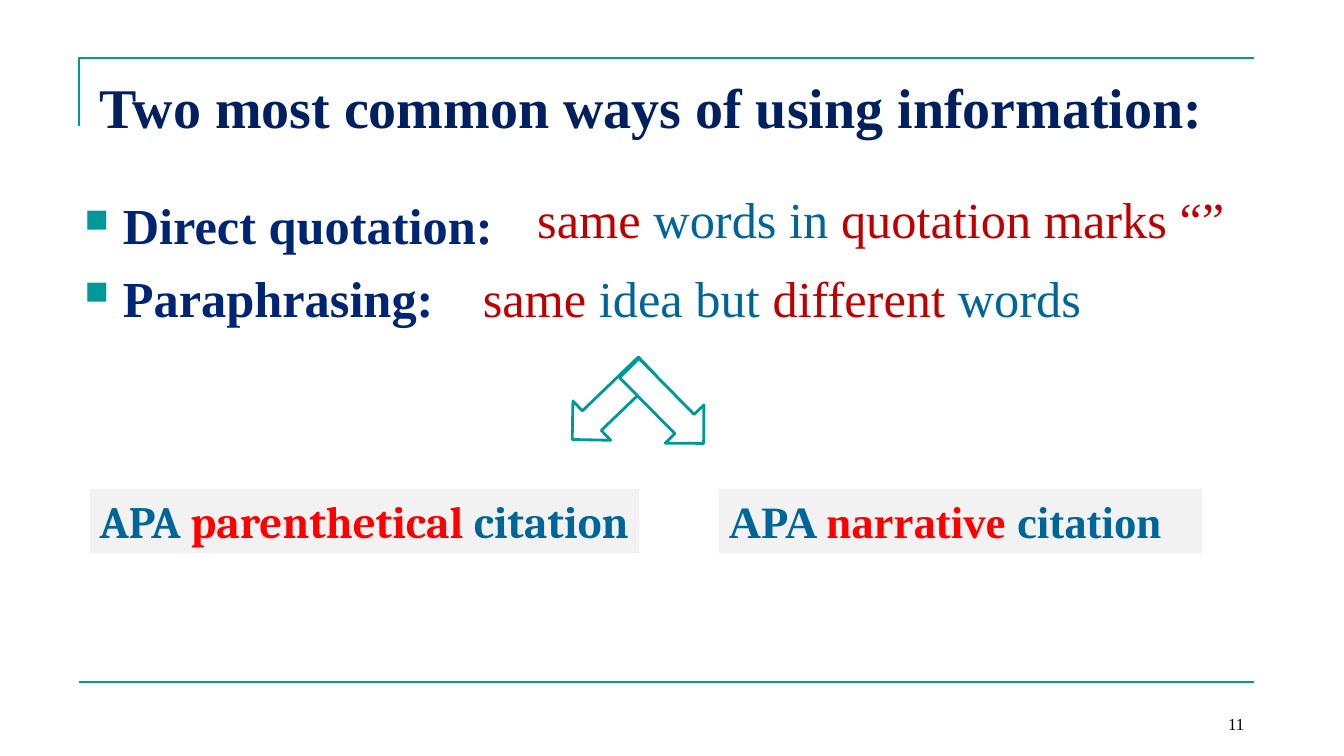
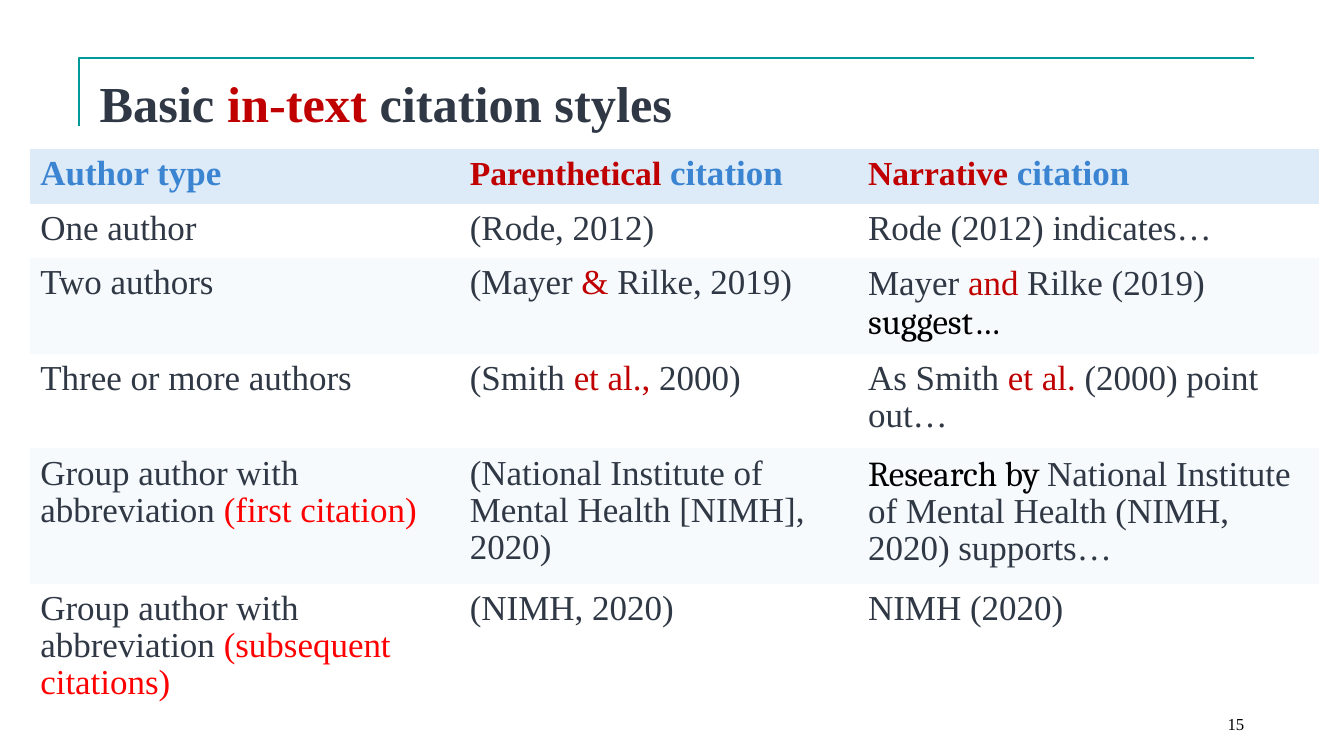
from lxml.etree import SubElement as Sub
from pptx import Presentation
from pptx.dml.color import RGBColor
from pptx.enum.shapes import MSO_CONNECTOR as Link, MSO_SHAPE as Shape
from pptx.enum.text import MSO_ANCHOR as Anchor, PP_ALIGN as Align
from pptx.oxml.ns import qn
from pptx.util import Inches, Pt

TIMES, CAMBRIA = "Times New Roman", "Cambria"
TEAL, NAVY, BLUE, INK = "009999", "002060", "006699", "2F3844"
DARK, RED, SKY = "C00000", "FF0000", "3B84D2"
WHITE, BLACK, GREY = "FFFFFF", "000000", "F2F2F2"
HEAD, BAND = "DDEBF8", "F6FAFD"
PLAIN = "{2D5ABB26-0587-4C30-8999-92F81FD0307C}"

COLS = [4.26, 3.95, 4.57]
ROWS = [0.53, 0.53, 0.95, 0.91, 1.31, 1.31]
CELLS = [
    [[("Author type", SKY)],
     [("Parenthetical", DARK, TIMES, 24), (" citation", SKY)],
     [("Narrative", DARK, TIMES, 24), (" citation", SKY)]],
    [[("One author", INK)],
     [("(Rode, 2012)", INK)],
     [("Rode (2012) indicates…", INK)]],
    [[("Two authors", INK)],
     [("(Mayer ", INK), ("& ", DARK), ("Rilke, 2019)", INK)],
     [("Mayer ", INK), ("and ", DARK), ("Rilke (2019)", INK),
      (" suggest…", BLACK, CAMBRIA)]],
    [[("Three or more authors", INK)],
     [("(Smith ", INK), ("et al., ", DARK), ("2000)", INK)],
     [("As Smith ", INK), ("et al. ", DARK), ("(2000) point out…", INK)]],
    [[("Group author with abbreviation ", INK), ("(first citation)", RED)],
     [("(National Institute of Mental Health [NIMH], 2020)", INK)],
     [("Research by ", BLACK, CAMBRIA),
      ("National Institute of Mental Health (NIMH, 2020) supports…", INK)]],
    [[("Group author with abbreviation ", INK),
      ("(subsequent citations)", RED)],
     [("(NIMH, 2020)", INK)],
     [("NIMH (2020)", INK)]],
]


def rgb(code):
    """Turn a hex string into a colour."""
    return RGBColor.from_string(code)


def paint(item, code):
    """Fill a shape or cell with one colour."""
    item.fill.solid()
    item.fill.fore_color.rgb = rgb(code)


def stroke(item, width):
    """Give a shape or connector a teal line."""
    item.line.color.rgb = rgb(TEAL)
    item.line.width = Pt(width)


def write(para, parts, size, bold=False, face=TIMES):
    """Add runs given as text, colour and optional face and size."""
    for text, code, *rest in parts:
        run = para.add_run()
        run.text = text
        font = run.font
        font.name = rest[0] if rest else face
        font.size = Pt(rest[1] if len(rest) > 1 else size)
        font.bold = bold
        font.color.rgb = rgb(code)


def label(slide, spot, parts, size, bold=False, face=TIMES, wrap=True):
    """Add a text box with one line of runs."""
    box = slide.shapes.add_textbox(*map(Inches, spot))
    box.text_frame.word_wrap = wrap
    write(box.text_frame.paragraphs[0], parts, size, bold, face)
    return box


def frame(slide, title, size):
    """Draw the shared rules and the title."""
    path = slide.shapes.build_freeform(Inches(0.78), Inches(1.25))
    path.add_line_segments(
        [(Inches(0.78), Inches(0.58)), (Inches(12.44), Inches(0.58))],
        close=False)
    edge = path.convert_to_shape()
    edge.shadow.inherit = False
    edge.fill.background()
    stroke(edge, 1.5)
    base = slide.shapes.add_connector(
        Link.STRAIGHT, *map(Inches, (0.78, 6.77, 12.44, 6.77)))
    Sub(base._element.spPr, qn("a:effectLst"))
    stroke(base, 1.5)
    label(slide, (0.89, 0.67, 11.44, 0.97), title, size, True)


def number(slide, text):
    """Put the page number at the lower right."""
    box = label(slide, (9.33, 6.83, 3.11, 0.5), [(text, BLACK)], 12)
    box.text_frame.vertical_anchor = Anchor.BOTTOM
    box.text_frame.paragraphs[0].alignment = Align.RIGHT


def bullets(slide, spot, items):
    """Add a list with square teal bullets."""
    box = slide.shapes.add_textbox(*map(Inches, spot))
    body = box.text_frame
    body.word_wrap = True
    body.text = "\n".join(items)
    for para in body.paragraphs:
        para.space_after = Pt(8.5)
        font = para.runs[0].font
        font.name, font.size, font.bold = TIMES, Pt(36), True
        font.color.rgb = rgb("002673")
        props = para._p.get_or_add_pPr()
        props.set("marL", str(Inches(0.38)))
        props.set("indent", str(-Inches(0.38)))
        Sub(Sub(props, qn("a:buClr")), qn("a:srgbClr"), val=TEAL)
        Sub(props, qn("a:buSzPct"), val="65000")
        Sub(props, qn("a:buChar"), char="■")


def arrow(slide, spot, turn):
    """Add a turned block arrow."""
    item = slide.shapes.add_shape(Shape.DOWN_ARROW, *map(Inches, spot))
    item.shadow.inherit = False
    item.rotation = turn
    paint(item, WHITE)
    stroke(item, 2)


def grid(slide, left, top):
    """Add the table of citation styles."""
    item = slide.shapes.add_table(
        len(ROWS), len(COLS), Inches(left), Inches(top),
        Inches(sum(COLS)), Inches(sum(ROWS)))
    table = item.table
    for style in item._element.iter(qn("a:tableStyleId")):
        style.text = PLAIN
    for col, width in zip(table.columns, COLS):
        col.width = Inches(width)
    for i, (row, high) in enumerate(zip(table.rows, ROWS)):
        row.height = Inches(high)
        shade = HEAD if i == 0 else WHITE if i % 2 else BAND
        for cell, parts in zip(row.cells, CELLS[i]):
            paint(cell, shade)
            cell.margin_top = cell.margin_bottom = Inches(0.07)
            para = cell.text_frame.paragraphs[0]
            para.line_spacing = 0.96
            write(para, parts, 25, i == 0)


def ways(slide):
    """Build the slide on ways of using information."""
    frame(slide, [("Two most common ways of using information:", NAVY)], 40)
    bullets(slide, (0.74, 1.88, 4.5, 1.5),
            ["Direct quotation:", "Paraphrasing:"])
    number(slide, "11")
    label(slide, (5.23, 1.82, 7.07, 0.71),
          [("same", DARK), (" words in ", BLUE),
           ("quotation marks “”", DARK)], 36, wrap=False)
    label(slide, (4.69, 2.6, 6.2, 0.71),
          [("same ", DARK), ("idea but", BLUE), (" different ", DARK),
           ("words", BLUE)], 36, wrap=False)
    arrow(slide, (5.78, 3.48, 0.54, 1.04), 46.1)
    arrow(slide, (6.34, 3.5, 0.54, 1.05), 315.4)
    for left, width, kind, face in ((0.89, 5.45, "parenthetical", CAMBRIA),
                                    (7.13, 4.79, "narrative", TIMES)):
        box = label(slide, (left, 4.85, width, 0.64),
                    [("APA ", BLUE), (kind, RED), (" citation", BLUE)],
                    32, True, face, face == TIMES)
        paint(box, GREY)


def styles(slide):
    """Build the slide on citation styles."""
    frame(slide, [("Basic ", INK), ("in-text", DARK),
                  (" citation styles", INK)], 36)
    grid(slide, 0.3, 1.48)
    number(slide, "15")


def main():
    """Build and save the slides."""
    deck = Presentation()
    deck.slide_width, deck.slide_height = Inches(13.33), Inches(7.5)
    for build in (ways, styles):
        build(deck.slides.add_slide(deck.slide_layouts[6]))
    deck.save("out.pptx")


if __name__ == "__main__":
    main()
